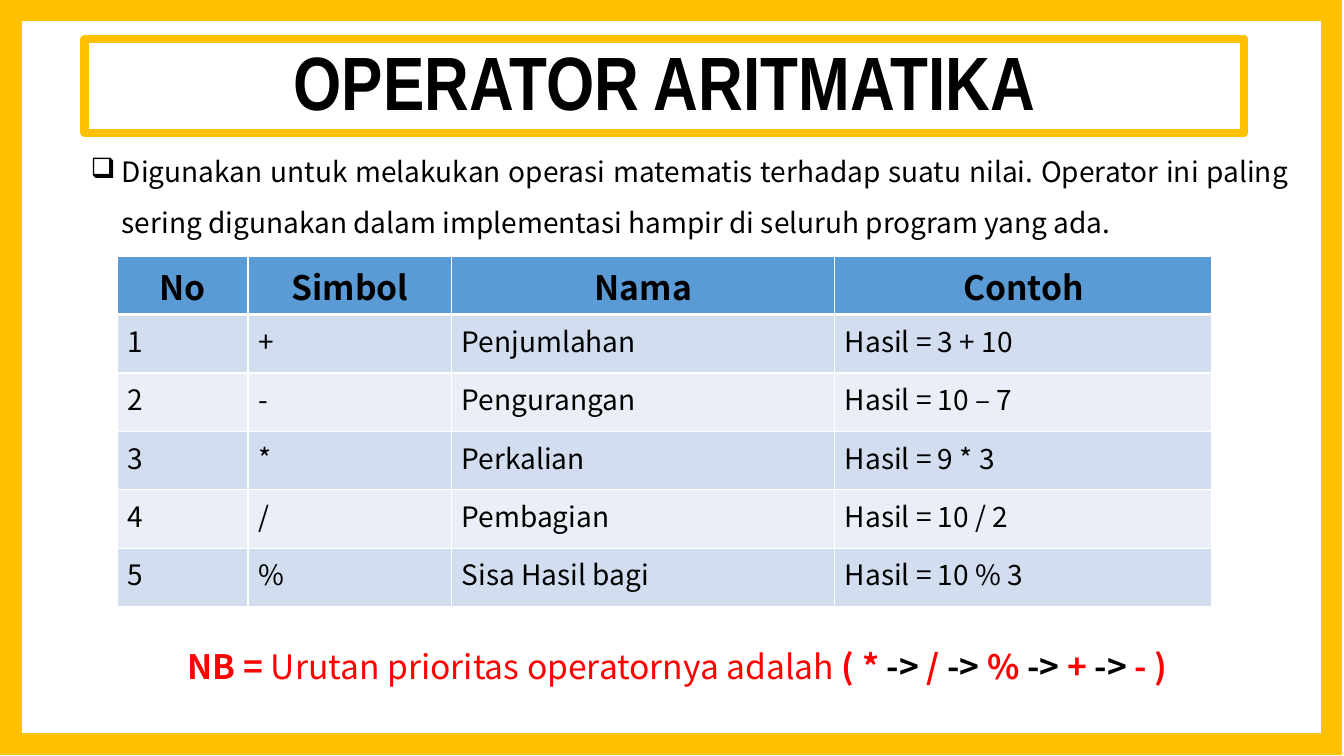
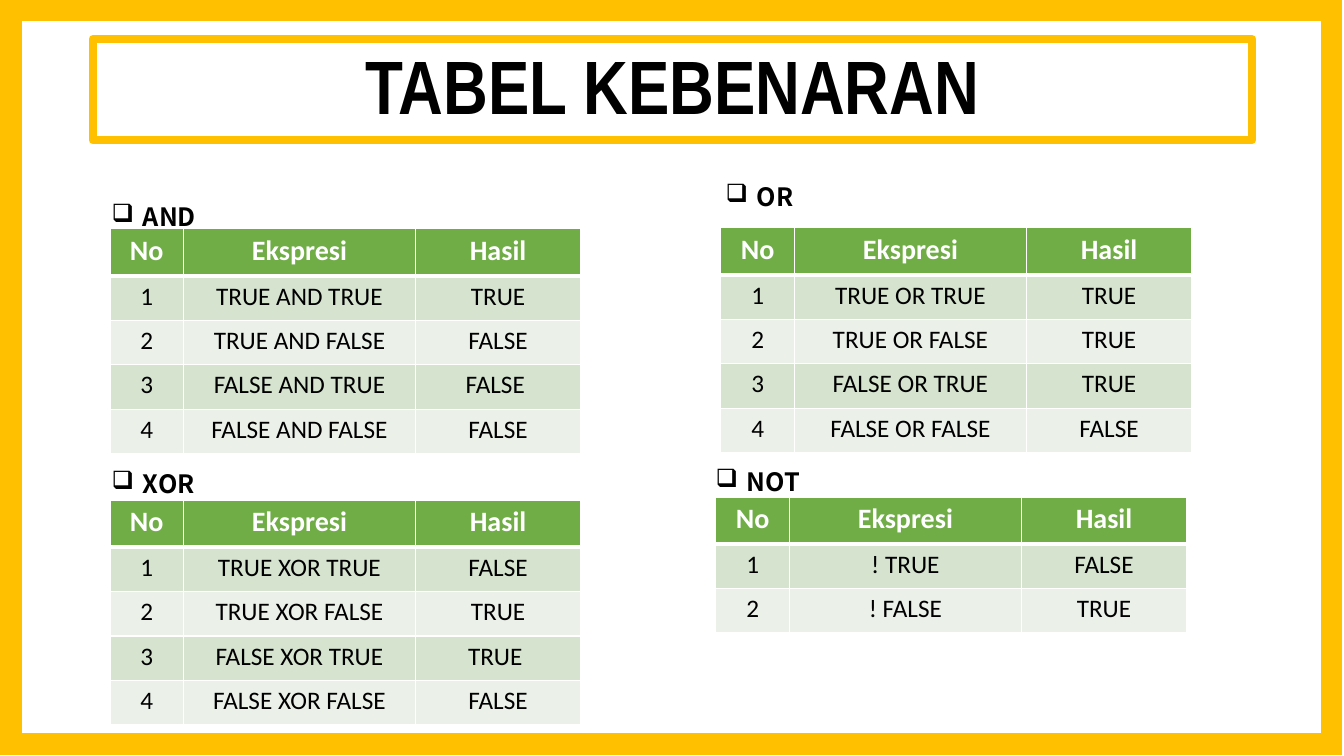
from lxml import etree
from pptx import Presentation
from pptx.dml.color import RGBColor
from pptx.enum.shapes import MSO_SHAPE
from pptx.enum.text import MSO_ANCHOR, PP_ALIGN
from pptx.oxml.ns import qn
from pptx.util import Inches, Pt

RECTANGLE = MSO_SHAPE.RECTANGLE
MIDDLE = MSO_ANCHOR.MIDDLE
LEFT, CENTER, JUSTIFY = PP_ALIGN.LEFT, PP_ALIGN.CENTER, PP_ALIGN.JUSTIFY

BLACK = RGBColor(0x00, 0x00, 0x00)
WHITE = RGBColor(0xFF, 0xFF, 0xFF)
RED = RGBColor(0xFF, 0x00, 0x00)
GOLD = RGBColor(0xFF, 0xC0, 0x00)
BLUE = RGBColor(0x5B, 0x9B, 0xD5)
BLUE_BANDS = (RGBColor(0xD2, 0xDE, 0xEF), RGBColor(0xEA, 0xEF, 0xF7))
GREEN = RGBColor(0x70, 0xAD, 0x47)
GREEN_BANDS = (RGBColor(0xD5, 0xE3, 0xCF), RGBColor(0xEB, 0xF1, 0xE9))

TITLE_FONT, BODY_FONT, TRUTH_FONT = "Arial Narrow", "Noto Sans CJK JP", "Calibri"
SLIDE_WIDTH, SLIDE_HEIGHT = 13.33, 7.5
FRAME = (0.11, 0.1, 13.1, 7.28)
TEXT_WIDTH = 12.58

# Content
INTRO = ("Digunakan untuk melakukan operasi matematis terhadap suatu nilai. Operator ini "
         "paling sering digunakan dalam implementasi hampir di seluruh program yang ada.")
OPERATORS = [
    ("No", "Simbol", "Nama", "Contoh"),
    ("1", "+", "Penjumlahan", "Hasil = 3 + 10"),
    ("2", "-", "Pengurangan", "Hasil = 10 – 7"),
    ("3", "*", "Perkalian", "Hasil = 9 * 3"),
    ("4", "/", "Pembagian", "Hasil = 10 / 2"),
    ("5", "%", "Sisa Hasil bagi", "Hasil = 10 % 3"),
]
PRIORITY_NOTE = [  # text, colour, bold
    ("NB = ", RED, True),
    ("Urutan prioritas operatornya adalah ", RED, False),
    ("( * ", RED, True), ("->", BLACK, True),
    (" / ", RED, True), ("->", BLACK, True),
    (" % ", RED, True), ("-> ", BLACK, True),
    ("+ ", RED, True), ("->", BLACK, True),
    (" - )", RED, True),
]
TRUTH_HEADER = ("No", "Ekspresi", "Hasil")
TRUTH_TABLES = [  # name, label position, table position, (expression, result) rows
    ("AND", (0.51, 1.8), (1.09, 2.27),
     [("TRUE AND TRUE", "TRUE"), ("TRUE AND FALSE", "FALSE"),
      ("FALSE AND TRUE", "FALSE "), ("FALSE AND FALSE", "FALSE")]),
    ("OR", (6.6, 1.6), (7.15, 2.26),
     [("TRUE OR TRUE", "TRUE"), ("TRUE OR FALSE", "TRUE"),
      ("FALSE OR TRUE", "TRUE"), ("FALSE OR FALSE", "FALSE")]),
    ("XOR", (0.51, 4.45), (1.09, 4.96),
     [("TRUE XOR TRUE", "FALSE"), ("TRUE XOR FALSE", "TRUE"),
      ("FALSE XOR TRUE", "TRUE "), ("FALSE XOR FALSE", "FALSE")]),
    ("NOT", (6.5, 4.43), (7.1, 4.93),
     [("! TRUE", "FALSE"), ("! FALSE", "TRUE")]),
]

OPERATOR_STYLE = dict(
    columns=(1.3, 2.02, 3.8, 3.74), header_height=0.58, row_height=0.58,
    header_fill=BLUE, bands=BLUE_BANDS, font=BODY_FONT, header_size=24, body_size=20,
    header_color=BLACK, body_align=LEFT)
TRUTH_STYLE = dict(
    columns=(0.73, 2.3, 1.64), header_height=0.47, row_height=0.44,
    header_fill=GREEN, bands=GREEN_BANDS, font=TRUTH_FONT, header_size=20, body_size=18,
    header_color=WHITE, body_align=CENTER)


def set_font(font, name, size, color, bold=False):
    """Set the typeface, size, colour and weight of a font."""
    font.name, font.size, font.bold = name, Pt(size), bold
    font.color.rgb = color


def add_outline(slide, box, width, join):
    """Add an unfilled gold rectangle with the given line width and corner join."""
    shape = slide.shapes.add_shape(RECTANGLE, *map(Inches, box))
    shape.shadow.inherit = False
    shape.fill.background()
    shape.line.color.rgb = GOLD
    shape.line.width = Pt(width)
    etree.SubElement(shape.line._get_or_add_ln(), qn(join))
    return shape


def add_frame_and_title(slide, title, box):
    """Add the slide's gold frame and its boxed title."""
    add_outline(slide, FRAME, 15.25, "a:miter")
    text_frame = add_outline(slide, box, 6, "a:round").text_frame
    text_frame.word_wrap = True
    text_frame.vertical_anchor = MIDDLE
    paragraph = text_frame.paragraphs[0]
    paragraph.text = title
    paragraph.alignment = CENTER
    paragraph.line_spacing = 0.9
    set_font(paragraph.font, TITLE_FONT, 54, BLACK, True)


def add_paragraph_box(slide, box, align, margin, indent=0):
    """Add a wrapping text box and return its indented paragraph."""
    text_frame = slide.shapes.add_textbox(*map(Inches, box)).text_frame
    text_frame.word_wrap = True
    paragraph = text_frame.paragraphs[0]
    paragraph.alignment = align
    paragraph.line_spacing = 1.5
    properties = paragraph._p.get_or_add_pPr()
    properties.set("marL", str(Inches(margin)))
    properties.set("indent", str(Inches(indent)))
    return paragraph


def add_bullet(slide, text, box, size, bold=False):
    """Add a justified line of text with a square bullet."""
    paragraph = add_paragraph_box(slide, box, JUSTIFY, 0.81, -0.31)
    paragraph.text = text
    set_font(paragraph.font, BODY_FONT, size, BLACK, bold)
    etree.SubElement(paragraph._p.get_or_add_pPr(), qn("a:buChar"), char="❑")


def set_borders(cell, top, bottom):
    """Give a cell white borders, one point wide at its sides."""
    properties = cell._tc.get_or_add_tcPr()
    for side, width in (("L", 1), ("R", 1), ("T", top), ("B", bottom)):
        line = etree.SubElement(properties, qn(f"a:ln{side}"), w=str(Pt(width)))
        fill = etree.SubElement(line, qn("a:solidFill"))
        etree.SubElement(fill, qn("a:srgbClr"), val=str(WHITE))


def add_banded_table(slide, rows, position, style):
    """Add a table with a header row and alternating row fills."""
    columns = style["columns"]
    heights = [style["header_height"]] + [style["row_height"]] * (len(rows) - 1)
    box = (*position, sum(columns), sum(heights))
    table = slide.shapes.add_table(len(rows), len(columns), *map(Inches, box)).table
    for column, width in zip(table.columns, columns):
        column.width = Inches(width)
    for row_index, (texts, height) in enumerate(zip(rows, heights)):
        table.rows[row_index].height = Inches(height)
        is_header = row_index == 0
        for column_index, text in enumerate(texts):
            cell = table.cell(row_index, column_index)
            set_borders(cell, 3 if row_index == 1 else 1, 3 if is_header else 1)
            cell.fill.solid()
            cell.fill.fore_color.rgb = (
                style["header_fill"] if is_header else style["bands"][(row_index - 1) % 2])
            paragraph = cell.text_frame.paragraphs[0]
            paragraph.text = text
            paragraph.alignment = CENTER if is_header else style["body_align"]
            set_font(paragraph.font, style["font"],
                     style["header_size"] if is_header else style["body_size"],
                     style["header_color"] if is_header else BLACK, is_header)


def build_operator_slide(slide):
    """Build the slide on arithmetic operators."""
    add_bullet(slide, INTRO, (0.3, 1.32, TEXT_WIDTH, 1.11), 20)
    add_banded_table(slide, OPERATORS, (1.16, 2.54), OPERATOR_STYLE)
    note = add_paragraph_box(slide, (0.18, 6.16, TEXT_WIDTH, 0.65), CENTER, 0.5)
    for text, color, bold in PRIORITY_NOTE:
        run = note.add_run()
        run.text = text
        set_font(run.font, BODY_FONT, 24, color, bold)
    add_frame_and_title(slide, "OPERATOR ARITMATIKA", (0.84, 0.39, 11.5, 0.93))


def build_truth_slide(slide):
    """Build the slide with the four truth tables."""
    for name, label_position, table_position, results in TRUTH_TABLES:
        rows = [TRUTH_HEADER] + [
            (str(number), *result) for number, result in enumerate(results, 1)]
        add_banded_table(slide, rows, table_position, TRUTH_STYLE)
        add_bullet(slide, name, (*label_position, 1.97, 0.51), 18, True)
    add_frame_and_title(slide, "TABEL KEBENARAN", (0.92, 0.39, 11.5, 1))


presentation = Presentation()
presentation.slide_width = Inches(SLIDE_WIDTH)
presentation.slide_height = Inches(SLIDE_HEIGHT)
blank_layout = presentation.slide_layouts[6]
for build_slide in (build_operator_slide, build_truth_slide):
    build_slide(presentation.slides.add_slide(blank_layout))
presentation.save("out.pptx")
